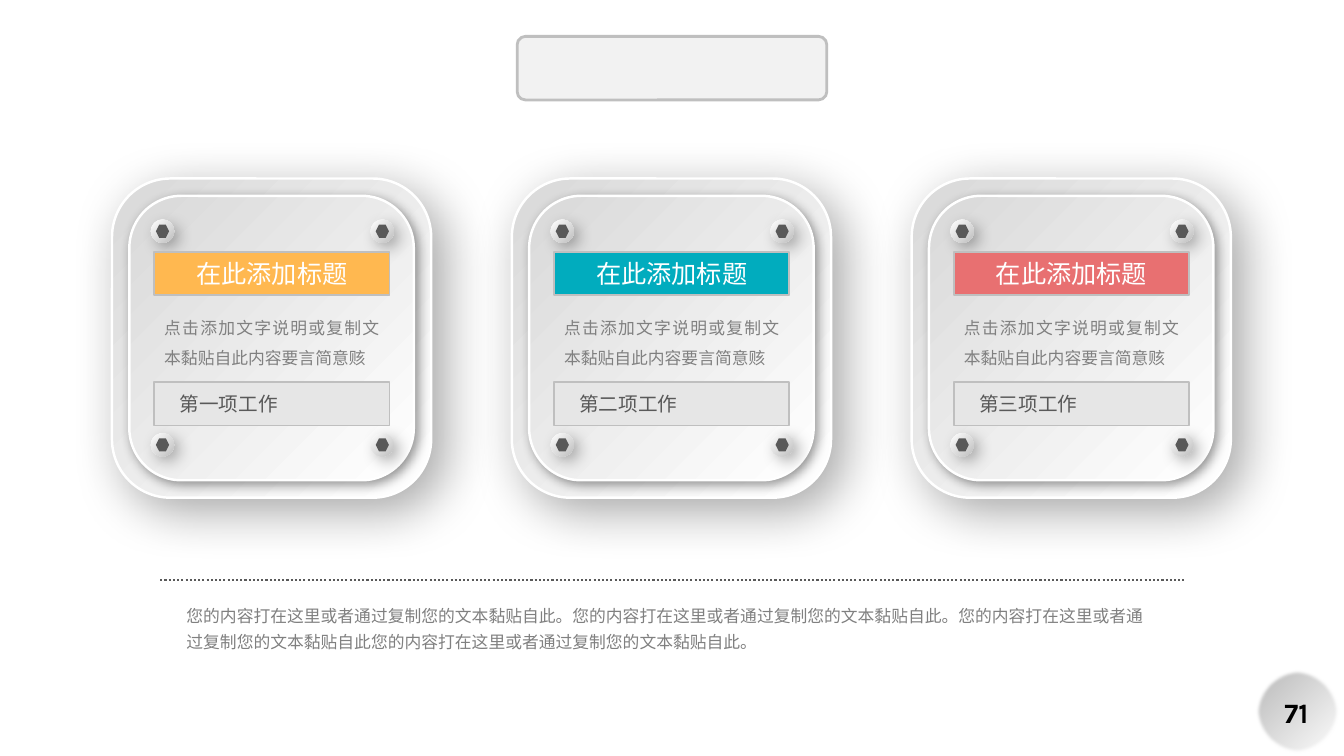
from lxml.etree import SubElement
from pptx import Presentation
from pptx.dml.color import RGBColor
from pptx.enum.dml import MSO_LINE
from pptx.enum.shapes import MSO_CONNECTOR, MSO_SHAPE as SHAPE
from pptx.enum.text import MSO_ANCHOR as ANCHOR, PP_ALIGN as ALIGN
from pptx.oxml.ns import qn
from pptx.util import Pt

WHITE = RGBColor(0xFF, 0xFF, 0xFF)
BLACK = RGBColor(0, 0, 0)
PALE = RGBColor(0xF2, 0xF2, 0xF2)
LIGHT = RGBColor(0xE6, 0xE6, 0xE6)
SILVER = RGBColor(0xD9, 0xD9, 0xD9)
EDGE = RGBColor(0xBF, 0xBF, 0xBF)
BADGE = RGBColor(0xB8, 0xB8, 0xB8)
GREY = RGBColor(0x80, 0x80, 0x80)
DARK = RGBColor(0x59, 0x59, 0x59)
ORANGE = RGBColor(0xFF, 0xB8, 0x50)
TEAL = RGBColor(0x01, 0xAC, 0xBE)
CORAL = RGBColor(0xE8, 0x70, 0x71)
CJK = "Noto Sans CJK SC"

HEADING = "在此添加标题"
BODY = "点击添加文字说明或复制文本黏贴自此内容要言简意赅"
CARDS = [("第一项工作", ORANGE), ("第二项工作", TEAL), ("第三项工作", CORAL)]
SUMMARY = (
    "您的内容打在这里或者通过复制您的文本黏贴自此。"
    "您的内容打在这里或者通过复制您的文本黏贴自此。"
    "您的内容打在这里或者通过复制您的文本黏贴自此"
    "您的内容打在这里或者通过复制您的文本黏贴自此。"
)
PAGE = "71"

CARD_X, CARD_Y, CARD_SIZE, PITCH = 80, 127.5, 228, 285.6
PANEL_INSET = 12.4
SCREW_X, SCREW_Y, SCREW_DX, SCREW_DY = 27.8, 29.4, 157, 152.6
SCREW_SIZE, NUT_SIZE = 16.6, 9.4
LABEL_X, LABEL_W, LABEL_H = 30.2, 168, 31


def add_effect(shape, tag, **attrs):
    shape.shadow.inherit = False
    effects = shape._element.spPr.find(qn("a:effectLst"))
    return SubElement(effects, qn(tag), {k: str(v) for k, v in attrs.items()})


def add_shadow(shape, opacity, blur, dist):
    shadow = add_effect(shape, "a:outerShdw", blurRad=Pt(blur), dist=Pt(dist),
                        dir=45 * 60000, algn="tl", rotWithShape=0)
    color = SubElement(shadow, qn("a:srgbClr"), val=str(BLACK))
    SubElement(color, qn("a:alpha"), val=str(opacity * 1000))


def add_shape(s, kind, x, y, w, h, fill, line=None, width=1.25, adj=None):
    sp = s.shapes.add_shape(kind, Pt(x), Pt(y), Pt(w), Pt(h))
    sp.shadow.inherit = False
    if isinstance(fill, tuple) and not isinstance(fill, RGBColor):
        sp.fill.gradient()
        sp.fill.gradient_angle = 315
        for stop, color in zip(sp.fill.gradient_stops, fill):
            stop.color.rgb = color
    else:
        sp.fill.solid()
        sp.fill.fore_color.rgb = fill
    if line is None:
        sp.line.fill.background()
    else:
        sp.line.color.rgb = line
        sp.line.width = Pt(width)
    if adj is not None:
        sp.adjustments[0] = adj
    return sp


def add_text_box(s, x, y, w, h):
    return s.shapes.add_textbox(Pt(x), Pt(y), Pt(w), Pt(h))


def write(sp, text, size, color, align, font=CJK, spacing=1, bold=False,
          anchor=ANCHOR.MIDDLE, left=7.2, top=3.6):
    tf = sp.text_frame
    tf.word_wrap = True
    tf.vertical_anchor = anchor
    tf.margin_left, tf.margin_top, tf.margin_bottom = Pt(left), Pt(top), Pt(top)
    tf.text = text
    p = tf.paragraphs[0]
    p.alignment = align
    p.line_spacing = spacing
    r = p.runs[0]
    r.font.name = font
    r.font.size = Pt(size)
    r.font.bold = bold
    r.font.color.rgb = color
    SubElement(r.font._element, qn("a:ea"), typeface=font)


def add_plate(s, x, y, size, shadow):
    plate = add_shape(s, SHAPE.ROUNDED_RECTANGLE, x, y, size, size,
                      (SILVER, WHITE), WHITE, 1.75, 0.183)
    add_shadow(plate, *shadow)


def add_screw(s, x, y):
    head = add_shape(s, SHAPE.OVAL, x, y, SCREW_SIZE, SCREW_SIZE, (WHITE, EDGE))
    add_shadow(head, 29, 11, 5)
    inset = (SCREW_SIZE - NUT_SIZE) / 2
    add_shape(s, SHAPE.HEXAGON, x + inset, y + inset, NUT_SIZE, NUT_SIZE, DARK)


def add_card(s, x, y, job, color):
    add_plate(s, x, y, CARD_SIZE, (35, 37, 12))
    add_plate(s, x + PANEL_INSET, y + PANEL_INSET,
              CARD_SIZE - 2 * PANEL_INSET, (40, 8, 3))
    for row in range(2):
        for col in range(2):
            add_screw(s, x + SCREW_X + col * SCREW_DX,
                      y + SCREW_Y + row * SCREW_DY)
    left = x + LABEL_X
    banner = add_shape(s, SHAPE.RECTANGLE, left, y + 52.5, LABEL_W, LABEL_H,
                       color, EDGE)
    write(banner, HEADING, 18, WHITE, ALIGN.CENTER)
    body = add_text_box(s, left, y + 88.5, LABEL_W, 51)
    write(body, BODY, 12, GREY, ALIGN.JUSTIFY, spacing=1.5, anchor=ANCHOR.TOP)
    label = add_shape(s, SHAPE.RECTANGLE, left, y + 145.4, LABEL_W, LABEL_H,
                      LIGHT, EDGE)
    write(label, job, 14, DARK, ALIGN.JUSTIFY, left=18)


def main():
    prs = Presentation()
    prs.slide_width, prs.slide_height = Pt(960), Pt(540)
    s = prs.slides.add_slide(prs.slide_layouts[6])

    add_shape(s, SHAPE.ROUNDED_RECTANGLE, 369.4, 26, 221.2, 45.4,
              PALE, EDGE, 2, 0.13)
    for i, (job, color) in enumerate(CARDS):
        add_card(s, CARD_X + i * PITCH, CARD_Y, job, color)

    divider = s.shapes.add_connector(MSO_CONNECTOR.STRAIGHT,
                                     Pt(114.5), Pt(414), Pt(845.5), Pt(414))
    divider.line.color.rgb = DARK
    divider.line.width = Pt(1.5)
    divider.line.dash_style = MSO_LINE.ROUND_DOT
    SubElement(divider._element.spPr, qn("a:effectLst"))

    summary = add_text_box(s, 128.2, 425.5, 702.7, 43)
    write(summary, SUMMARY, 12, GREY, ALIGN.LEFT, spacing=1.3,
          anchor=ANCHOR.TOP, left=5, top=3)

    badge = add_shape(s, SHAPE.OVAL, 897, 478, 60, 60, (BADGE, WHITE))
    add_effect(badge, "a:softEdge", rad=Pt(2.5))
    number = add_text_box(s, 908, 493.2, 36, 31.7)
    write(number, PAGE, 20, BLACK, ALIGN.CENTER, font="Karla", bold=True)

    prs.save("out.pptx")


if __name__ == "__main__":
    main()
